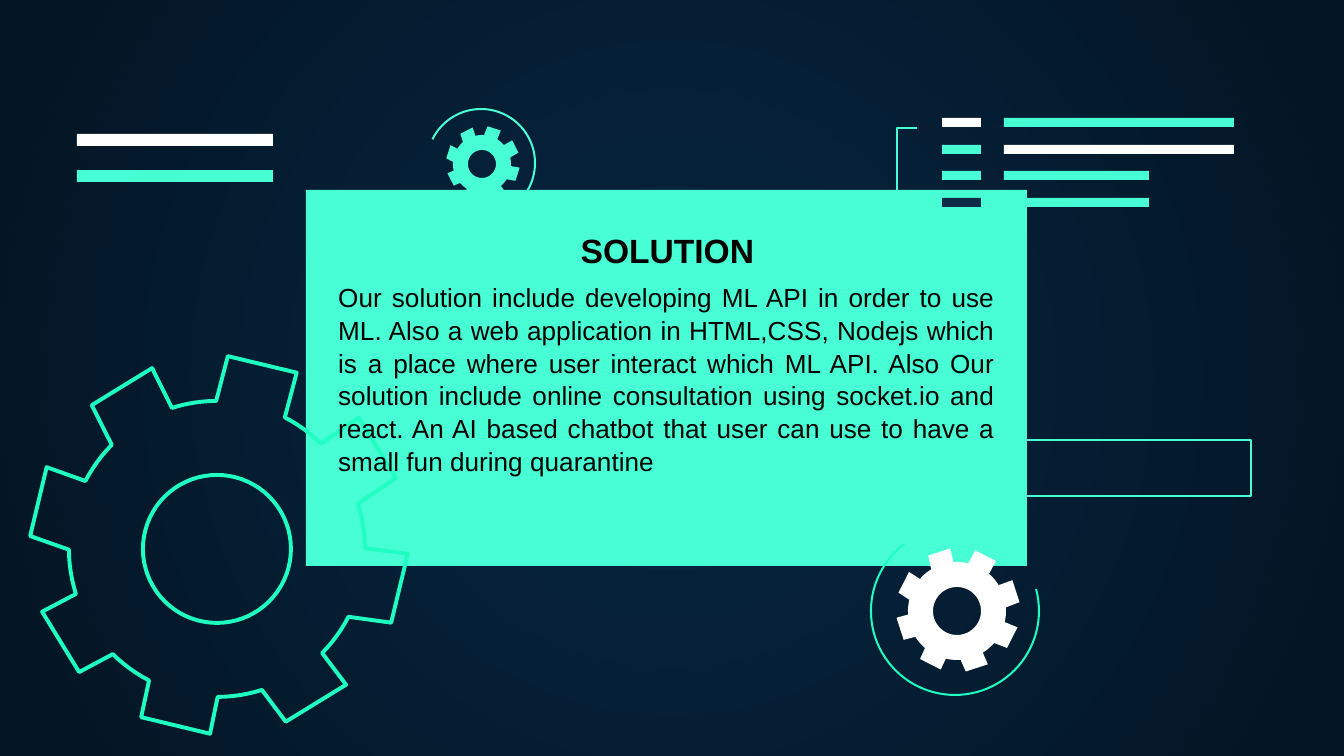
"""Build the solution slide: a text panel framed by gears, arcs and bars."""
from math import cos, radians, sin

from lxml.etree import SubElement
from pptx import Presentation
from pptx.dml.color import RGBColor
from pptx.enum.shapes import MSO_SHAPE as Preset
from pptx.enum.text import MSO_ANCHOR as Anchor, MSO_AUTO_SIZE as AutoSize, PP_ALIGN as Align
from pptx.oxml.ns import qn
from pptx.util import Pt

PX = 914400 / 134.4
MINT, GREEN, WHITE, NAVY, BLACK = "48FFD5", "1EFFC1", "FFFFFF", "0E2A47", "000000"
TEETH = 8


def paint(shape, fill=None, line=None, width=1.09):
    shape.shadow.inherit = False
    if fill:
        shape.fill.solid()
        shape.fill.fore_color.rgb = RGBColor.from_string(fill)
    else:
        shape.fill.background()
    if line:
        shape.line.color.rgb = RGBColor.from_string(line)
        shape.line.width = Pt(width)
    else:
        shape.line.fill.background()


def write(shape, text, size=14, bold=False, align=Align.LEFT, spacing=1.0):
    frame = shape.text_frame
    frame.word_wrap = True
    frame.auto_size = AutoSize.NONE
    frame.vertical_anchor = Anchor.TOP
    paragraph = frame.paragraphs[0]
    paragraph.alignment = align
    paragraph.line_spacing = spacing
    run = paragraph.add_run()
    run.text = text
    run.font.name = "Arial"
    run.font.size = Pt(size)
    run.font.bold = bold
    run.font.color.rgb = RGBColor.from_string(BLACK)


deck = Presentation()
deck.slide_width, deck.slide_height = round(1344 * PX), round(756 * PX)
slide = deck.slides.add_slide(deck.slide_layouts[5])
shapes = slide.shapes

backdrop = slide.background.fill
backdrop.gradient()
for stop, color in zip(backdrop.gradient_stops, ("052643", "041523")):
    stop.color.rgb = RGBColor.from_string(color)
gradient = slide.element.find(".//" + qn("a:gradFill"))
gradient.remove(gradient.find(qn("a:lin")))
radial = SubElement(gradient, qn("a:path"), path="circle")
SubElement(radial, qn("a:fillToRect"), l="50000", t="50000", r="50000", b="50000")

blocks = [(306, 190, 721, 376, MINT, None)]
for row, (label, value, width) in enumerate(
    [(WHITE, MINT, 230), (MINT, WHITE, 230), (MINT, MINT, 145), (NAVY, MINT, 145)]
):
    top = 118 + round(row * 80 / 3)
    blocks += [(942, top, 39, 9, label, None), (1004, top, width, 9, value, None)]
blocks += [
    (77, 134, 196, 12, WHITE, None),
    (77, 170, 196, 12, MINT, None),
    (968, 440, 283, 56, None, MINT),
]
for left, top, width, height, fill, line in blocks:
    block = shapes.add_shape(Preset.RECTANGLE, *(round(v * PX) for v in (left, top, width, height)))
    paint(block, fill, line)

for x, y, radius, start, end, color in [
    (481, 163, 54, 206, 104, MINT),
    (955, 611, 84, 345, 233, GREEN),
]:
    arc = shapes.add_shape(
        Preset.ARC, *(round(v * PX) for v in (x - radius, y - radius, 2 * radius, 2 * radius))
    )
    arc.adjustments[0], arc.adjustments[1] = start * 0.6, end * 0.6
    paint(arc, line=color)

for hub, center, tip, root, hole, tilt, fill, line in [
    ((217, 549), (219, 545), 189, 148, 74, 13.5, None, GREEN),
    ((957, 611), (958, 610), 62, 49, 24, 27, WHITE, None),
    ((482, 164), (483, 163), 37, 29, 14, 18, MINT, None),
]:
    rim = []
    for tooth in range(TEETH):
        axis = tilt + tooth * 360 / TEETH
        rim += [(hub, root, axis - 13.8), (center, tip, axis - 10.8), (center, tip, axis + 10.8)]
        rim += [(hub, root, axis + 13.8 + step * 17.4 / 6) for step in range(6)]
    bore = [(hub, hole, angle) for angle in range(0, 360, 5)]
    outline, opening = (
        [((x + r * cos(radians(a))) * PX, (y + r * sin(radians(a))) * PX) for (x, y), r, a in ring]
        for ring in (rim, bore)
    )
    builder = shapes.build_freeform(*outline[0], scale=1.0)
    builder.add_line_segments(outline[1:], close=True)
    builder.move_to(*opening[0])
    builder.add_line_segments(opening[1:], close=True)
    paint(builder.convert_to_shape(), fill, line, 2.1)

bracket = shapes.build_freeform(917, 209, scale=PX)
bracket.add_line_segments([(897, 209), (897, 128), (917, 128)], close=False)
paint(bracket.convert_to_shape(), line=MINT)

heading = shapes.title
heading.left, heading.top, heading.width, heading.height = (
    round(v * PX) for v in (347, 223, 641, 54)
)
write(heading, "SOLUTION", size=18, bold=True, align=Align.CENTER)
shapes.element.append(heading.element)

summary = shapes.add_textbox(*(round(v * PX) for v in (325, 273, 683, 204)))
write(
    summary,
    "Our solution include developing ML API in order to use ML. Also a web application in "
    "HTML,CSS, Nodejs which is a place where user interact which ML API. Also Our solution "
    "include online consultation using socket.io and react. An AI based chatbot that user "
    "can use to have a small fun during quarantine",
    align=Align.JUSTIFY,
    spacing=1.05,
)

deck.save("out.pptx")
